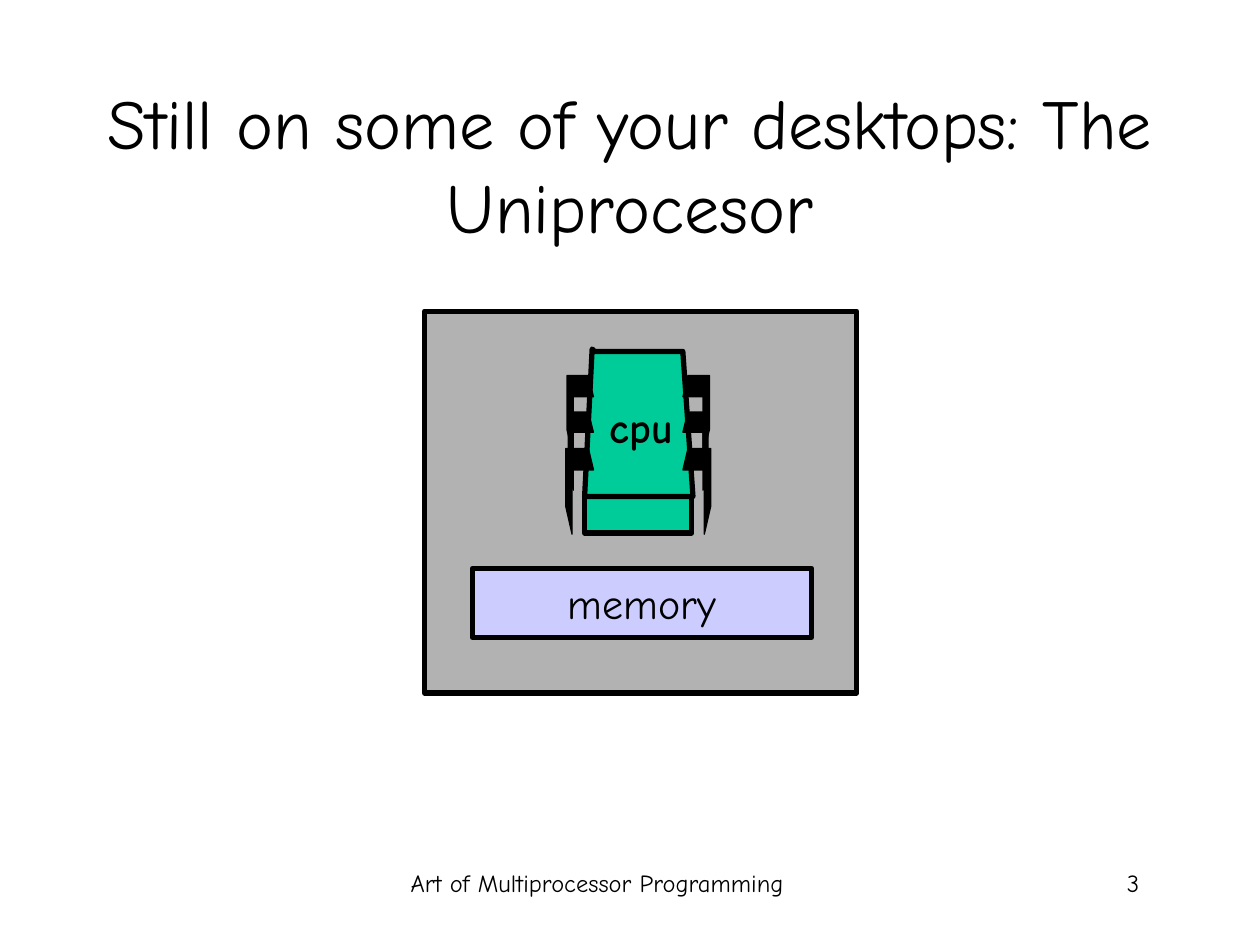
from pptx import Presentation
from pptx.dml.color import RGBColor
from pptx.enum.shapes import MSO_SHAPE
from pptx.enum.text import MSO_ANCHOR, PP_ALIGN
from pptx.util import Pt

PX = 9144  # EMU per px, 100 px to the inch
RECT = MSO_SHAPE.RECTANGLE
TOP, MIDDLE = MSO_ANCHOR.TOP, MSO_ANCHOR.MIDDLE
CENTER, RIGHT = PP_ALIGN.CENTER, PP_ALIGN.RIGHT

COLORS = {
    "ink": "000000",
    "machine": "B2B2B2",
    "chip": "00CC99",
    "memory": "CCCCFF",
}


class Deck:
    font_name = "Comic Neue"

    def __init__(self, width, height):
        self.prs = Presentation()
        self.prs.slide_width, self.prs.slide_height = width * PX, height * PX
        self.slide = self.prs.slides.add_slide(self.prs.slide_layouts[6])

    def color(self, name):
        return RGBColor.from_string(COLORS[name])

    def paint(self, shape, fill, line_width):
        shape.shadow.inherit = False
        shape.fill.solid()
        shape.fill.fore_color.rgb = self.color(fill)
        shape.line.color.rgb = self.color("ink")
        shape.line.width = Pt(line_width)

    def label(self, shape, text, size, align=CENTER, anchor=TOP, bold=False):
        frame = shape.text_frame
        frame.word_wrap = True
        frame.vertical_anchor = anchor
        paragraph = frame.paragraphs[0]
        paragraph.alignment = align
        run = paragraph.add_run()
        run.text = text
        run.font.color.rgb = self.color("ink")
        style = {"name": self.font_name, "size": Pt(size), "bold": bold}
        for key, value in style.items():
            setattr(run.font, key, value)

    def text(self, box, text, size, **style):
        shape = self.slide.shapes.add_textbox(*(v * PX for v in box))
        self.label(shape, text, size, **style)

    def rect(self, box, fill, parent=None):
        shapes = (parent or self.slide).shapes
        shape = shapes.add_shape(RECT, *(v * PX for v in box))
        self.paint(shape, fill, 3)
        return shape

    def polygon(self, points, fill, line_width, parent):
        builder = parent.shapes.build_freeform(*points[0], scale=PX)
        builder.add_line_segments(points[1:], close=True)
        self.paint(builder.convert_to_shape(), fill, line_width)

    def group(self):
        return self.slide.shapes.add_group_shape()

    def save(self):
        self.prs.save("out.pptx")


def main():
    deck = Deck(1000, 750)

    # Footer and slide number
    deck.text((260, 684, 428, 50), "Art of Multiprocessor Programming", 14)
    deck.text((706, 684, 208, 50), "3", 14, align=RIGHT)

    # Machine case and title
    deck.rect((337, 247, 343, 303), "machine")
    deck.text((75, 67, 850, 125),
              "Still on some of your desktops: The Uniprocesor", 40, anchor=MIDDLE)

    # Chip: front face and top face
    chip = deck.group()
    deck.rect((464, 394, 85, 29), "chip", chip)
    top_face = [(472, 279), (542, 279), (550, 394), (464, 394), (470, 277)]
    deck.polygon(top_face, "chip", 3, chip)

    # Chip pins: right side, then mirrored to the left
    mirror_sum = 1013
    # top, outer edge, inner edge, then drops to the notch, bend and tip
    pins = [
        (356, 564, 559, 17, 46, 68),
        (327, 562, 558, 16, 42, 62),
        (298, 563, 558, 17, 43, 64),
    ]
    for mirrored in (False, True):
        for top, outer, inner, notch, bend, tip in pins:
            pin = [(546, top), (outer, top), (outer, top + bend),
                   (inner, top + tip), (inner, top + notch), (542, top + notch)]
            if mirrored:
                pin = [(mirror_sum - x, y) for x, y in pin]
            deck.polygon(pin, "ink", 0.75, chip)

    # Memory and chip label
    memory = deck.rect((375, 451, 269, 55), "memory")
    deck.label(memory, "memory", 24, anchor=MIDDLE)
    deck.text((471, 314, 73, 50), "cpu", 24, align=RIGHT, bold=True)

    deck.save()


if __name__ == "__main__":
    main()
